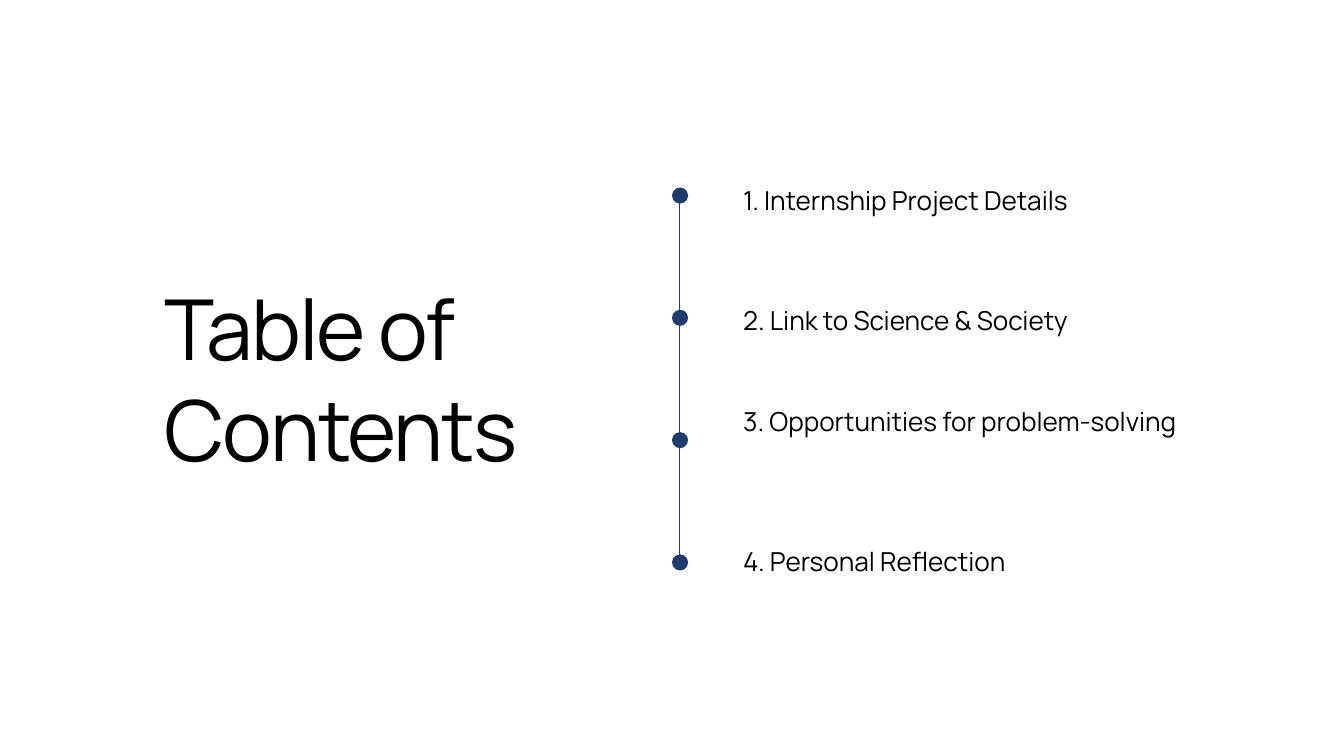
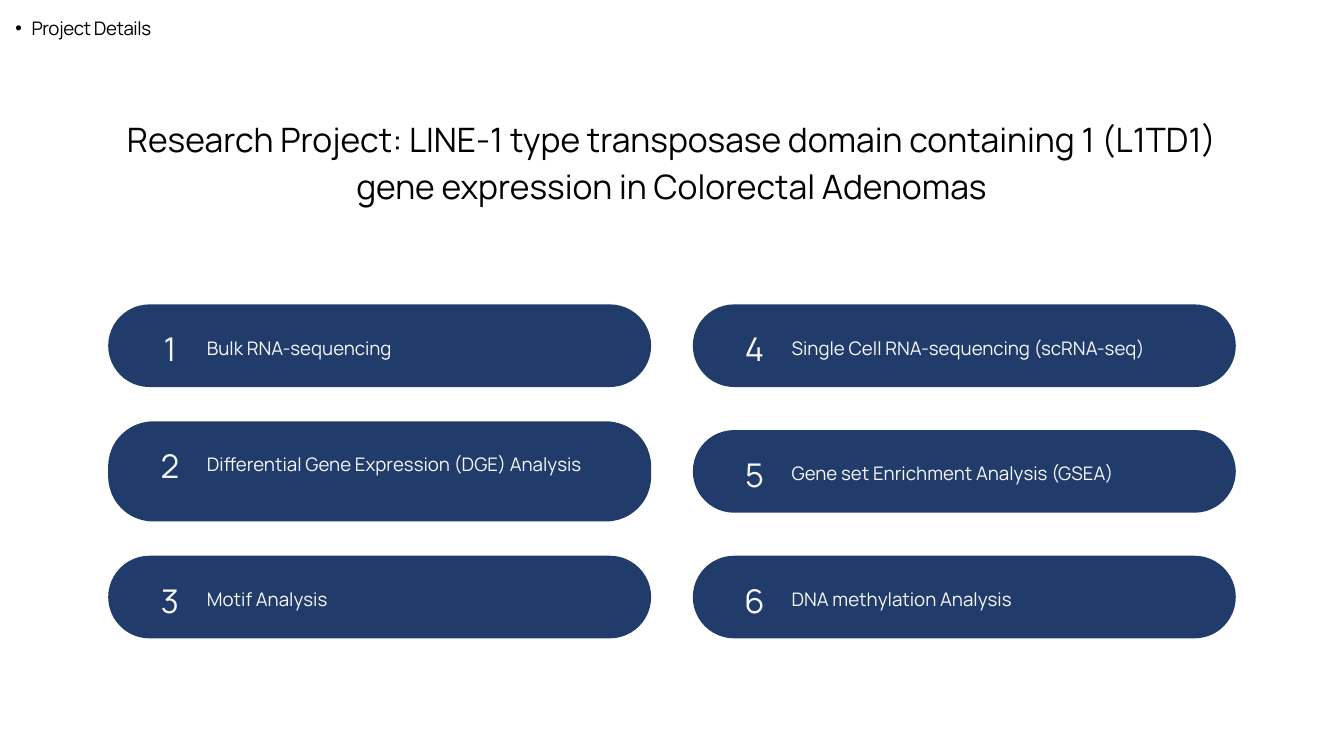
from lxml import etree
from pptx import Presentation
from pptx.dml.color import RGBColor
from pptx.enum.shapes import MSO_CONNECTOR, MSO_SHAPE
from pptx.enum.text import MSO_AUTO_SIZE, PP_ALIGN
from pptx.oxml.ns import qn
from pptx.util import Inches, Pt

NAVY = RGBColor(0x21, 0x3C, 0x6B)
BLACK = RGBColor(0, 0, 0)
WHITE = RGBColor(0xFF, 0xFF, 0xFF)
OFF_WHITE = RGBColor(0xF7, 0xF7, 0xF7)
FONT = "Manrope"
LEFT, CENTER = PP_ALIGN.LEFT, PP_ALIGN.CENTER
STRAIGHT = MSO_CONNECTOR.STRAIGHT
OVAL, ROUNDED = MSO_SHAPE.OVAL, MSO_SHAPE.ROUNDED_RECTANGLE
FIT_TEXT = MSO_AUTO_SIZE.SHAPE_TO_FIT_TEXT

DOT_SIZE = 0.24
DOT_LEFT, FIRST_DOT_TOP, DOT_STEP = 10, 2.79, 1.82
CARD_WIDTH, CARD_HEIGHT, TALL_CARD_HEIGHT = 8.08, 1.23, 1.49
LEFT_COLUMN, RIGHT_COLUMN = 1.61, 10.31

CONTENTS = [
    (2.62, 0.54, "1. Internship Project Details"),
    (4.42, 0.54, "2. Link to Science & Society"),
    (5.92, 1.11, "3. Opportunities for problem-solving"),
    (8, 0.54, "4. Personal Reflection"),
]

METHODS = [
    (LEFT_COLUMN, 4.53, CARD_HEIGHT, "Bulk RNA-sequencing"),
    (LEFT_COLUMN, 6.27, TALL_CARD_HEIGHT, "Differential Gene Expression (DGE) Analysis"),
    (LEFT_COLUMN, 8.27, CARD_HEIGHT, "Motif Analysis"),
    (RIGHT_COLUMN, 4.53, CARD_HEIGHT, "Single Cell RNA-sequencing (scRNA-seq)"),
    (RIGHT_COLUMN, 6.4, CARD_HEIGHT, "Gene set Enrichment Analysis (GSEA)"),
    (RIGHT_COLUMN, 8.27, CARD_HEIGHT, "DNA methylation Analysis"),
]


def add_slide(deck):
    """Add a blank slide with a white background."""
    slide = deck.slides.add_slide(deck.slide_layouts[6])
    slide.background.fill.solid()
    slide.background.fill.fore_color.rgb = WHITE
    return slide


def add_text(slide, text, left, top, width, height, size, leading,
             color=BLACK, align=LEFT, tracking=0, bulleted=False):
    """Add a margin-free text box with exact line spacing."""
    box = slide.shapes.add_textbox(
        Inches(left), Inches(top), Inches(width), Inches(height))
    frame = box.text_frame
    frame.word_wrap = True
    frame.auto_size = FIT_TEXT
    frame.margin_left = frame.margin_right = 0
    frame.margin_top = frame.margin_bottom = 0
    paragraph = frame.paragraphs[0]
    paragraph.alignment = align
    paragraph.line_spacing = Pt(leading)
    if bulleted:
        add_bullet(paragraph, 0.47, 0.24)
    run = paragraph.add_run()
    run.text = text
    run.font.name = FONT
    run.font.size = Pt(size)
    run.font.color.rgb = color
    if tracking:
        run._r.get_or_add_rPr().set("spc", str(round(tracking * 100)))


def add_bullet(paragraph, margin, hanging):
    """Give a paragraph a hanging round bullet."""
    properties = paragraph._p.get_or_add_pPr()
    properties.set("marL", str(Inches(margin)))
    properties.set("indent", str(-Inches(hanging)))
    bullet_font = etree.SubElement(properties, qn("a:buFont"))
    bullet_font.set("typeface", "Arial")
    etree.SubElement(properties, qn("a:buChar")).set("char", "•")


def add_navy_shape(slide, kind, left, top, width, height):
    """Add a navy shape without outline or shadow."""
    shape = slide.shapes.add_shape(
        kind, Inches(left), Inches(top), Inches(width), Inches(height))
    shape.shadow.inherit = False
    shape.fill.solid()
    shape.fill.fore_color.rgb = NAVY
    shape.line.fill.background()
    return shape


def add_timeline(slide):
    """Draw evenly spaced dots joined by a thin vertical line."""
    center = Inches(DOT_LEFT + 0.11)
    line_top = FIRST_DOT_TOP + 0.15
    line_bottom = FIRST_DOT_TOP + DOT_STEP * (len(CONTENTS) - 1) + 0.07
    stem = slide.shapes.add_connector(
        STRAIGHT, center, Inches(line_top), center, Inches(line_bottom))
    stem.line.color.rgb = NAVY
    stem.line.width = Pt(0.75)
    etree.SubElement(stem._element.spPr, qn("a:effectLst"))
    for index in range(len(CONTENTS)):
        add_navy_shape(slide, OVAL, DOT_LEFT, FIRST_DOT_TOP + index * DOT_STEP,
                       DOT_SIZE, DOT_SIZE)


def add_method_card(slide, number, left, top, height, method):
    """Add a rounded card with its number and method name."""
    card = add_navy_shape(slide, ROUNDED, left, top, CARD_WIDTH, height)
    card.adjustments[0] = 0.5 if height == CARD_HEIGHT else 0.45
    add_text(slide, method, left + 1.47, top + 0.42, 6.23, 0.36, 20, 28, OFF_WHITE)
    add_text(slide, str(number), left + 0.52, top + 0.27, 0.8, 0.63, 35, 49,
             OFF_WHITE, CENTER)


def build_contents(deck):
    """Build the table of contents slide."""
    slide = add_slide(deck)
    add_text(slide, "Table of Contents", 2.45, 4.12, 5.83, 3, 90, 108, tracking=-2.2)
    for top, height, entry in CONTENTS:
        add_text(slide, entry, 11.06, top, 7.11, height, 28, 42)
    add_timeline(slide)


def build_project(deck):
    """Build the research project slide with its method cards."""
    slide = add_slide(deck)
    for number, (left, top, height, method) in enumerate(METHODS, 1):
        add_method_card(slide, number, left, top, height, method)
    add_text(slide, "Research Project: LINE-1 type transposase domain containing 1 "
             "(L1TD1) gene expression in Colorectal Adenomas",
             1.61, 1.67, 16.77, 1.37, 36, 50.4, align=CENTER)
    add_text(slide, "Project Details", 0, 0.2, 17.75, 0.37, 20, 28,
             tracking=-0.5, bulleted=True)


def main():
    """Build and save the presentation."""
    deck = Presentation()
    deck.slide_width = Inches(20)
    deck.slide_height = Inches(11.25)
    build_contents(deck)
    build_project(deck)
    deck.save("out.pptx")


if __name__ == "__main__":
    main()
